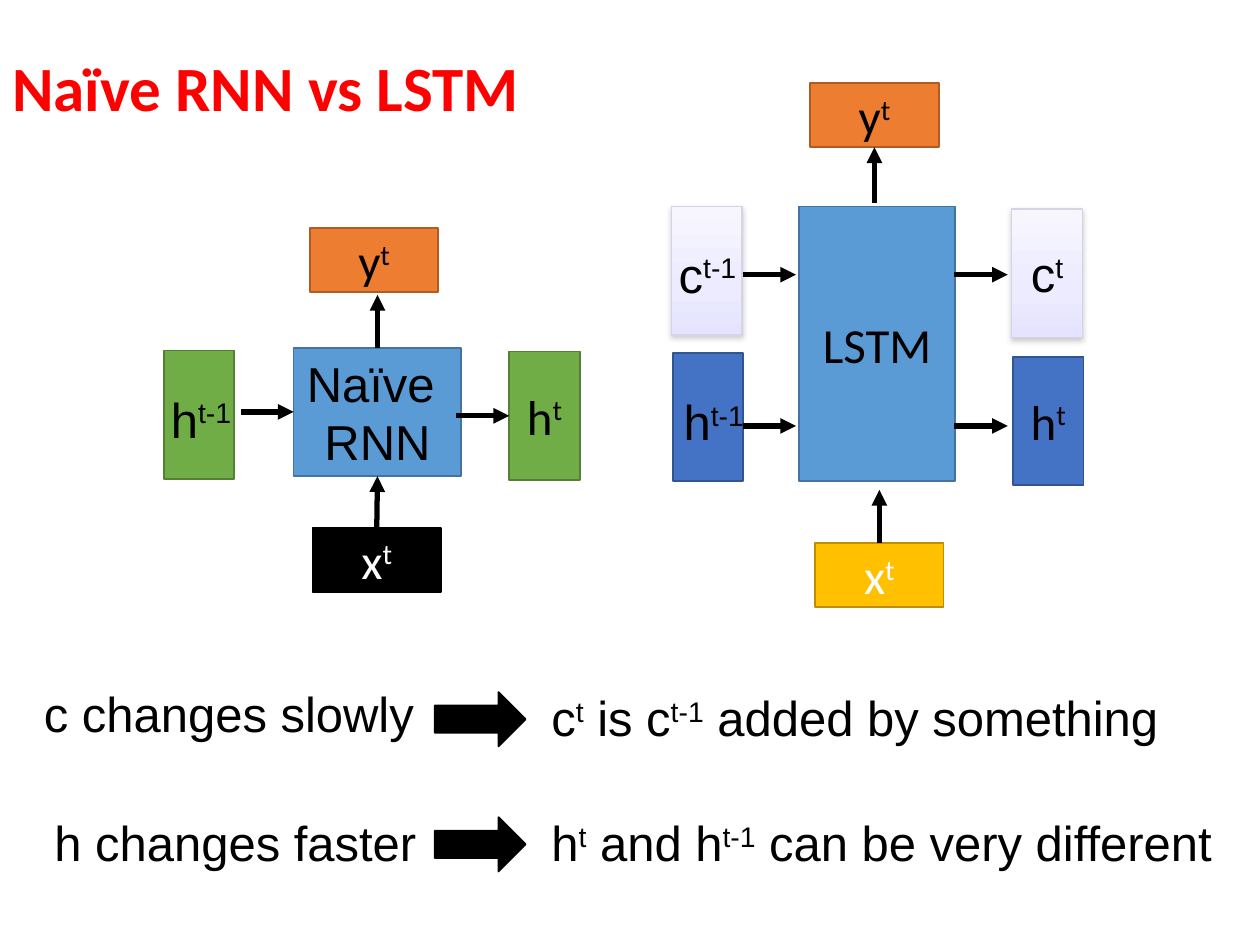
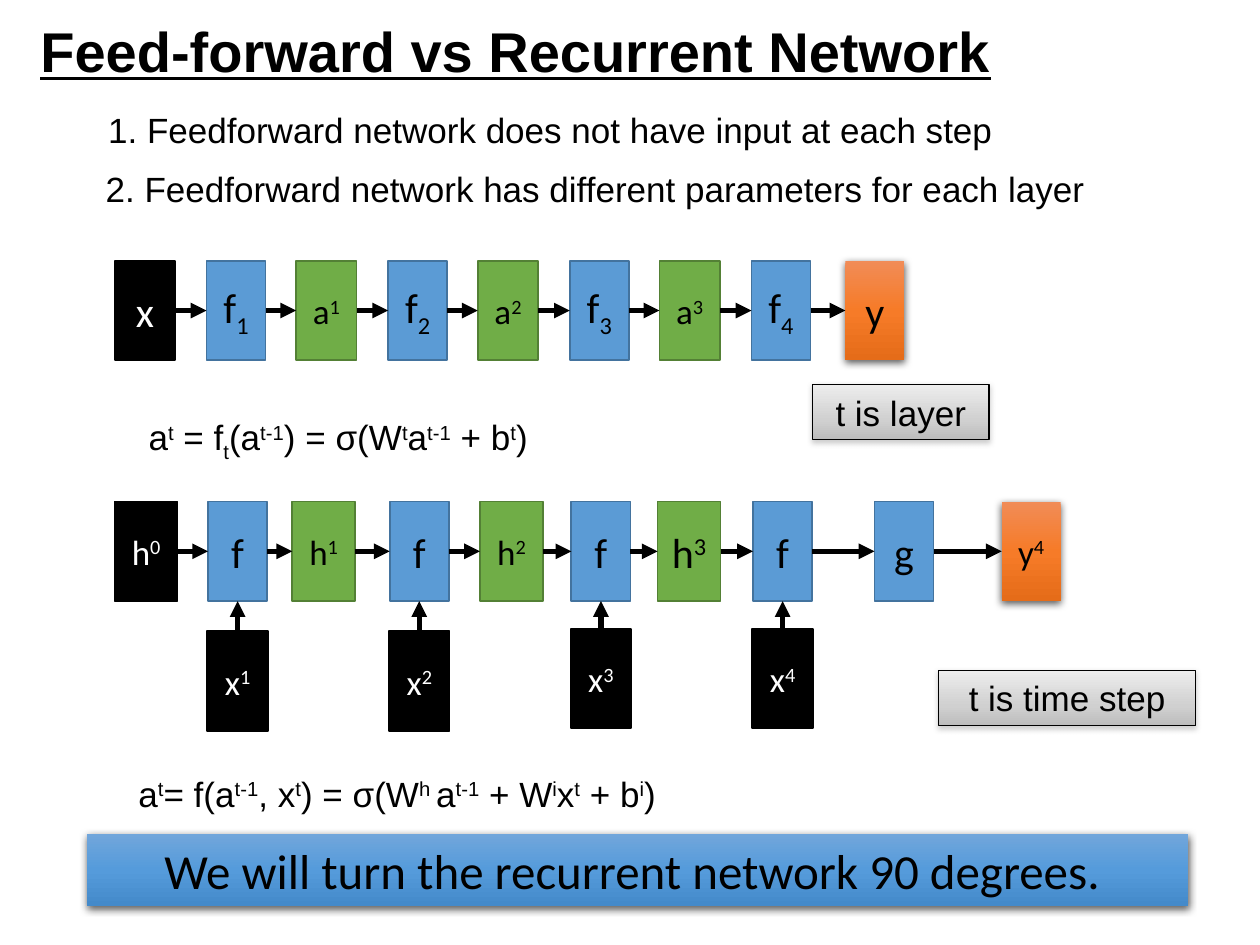
from lxml.etree import SubElement
from pptx import Presentation
from pptx.dml.color import RGBColor
from pptx.enum.shapes import MSO_CONNECTOR, MSO_SHAPE
from pptx.enum.text import MSO_ANCHOR, PP_ALIGN
from pptx.oxml.ns import qn
from pptx.util import Pt

COLORS = {
    "black": "000000", "white": "FFFFFF", "red": "FF0000",
    "blue": "5B9BD5", "blue edge": "43739E",
    "green": "70AD47", "green edge": "538035",
    "orange": "ED7D31", "orange edge": "AF5C24",
    "gold": "FFC000", "gold edge": "BD8E00",
    "indigo": "4472C4", "indigo edge": "325491",
    "lilac edge": "D4D3E7", "gray": "808080",
    "lilac 1": "F7F6FF", "lilac 2": "ECEBFF", "lilac 3": "E5E3FF",
    "ember 1": "F18C57", "ember 2": "F67B28", "ember 3": "E56C19",
    "silver 1": "EDEDED", "silver 2": "D0D0D0", "silver 3": "BCBCBC",
    "sky 1": "71A6DB", "sky 2": "559BDB", "sky 3": "448ACA",
}

# Shadows: colour, opacity %, blur, distance
SOFT = ("gray", 38, 3.1, 1.6)
STRONG = ("black", 63, 4.5, 1.5)

# Gradients: position of the middle stop, edge colour, shadow
GRADIENTS = {
    "lilac": (65, "lilac edge", SOFT),
    "silver": (65, "black", SOFT),
    "ember": (50, None, STRONG),
    "sky": (50, None, STRONG),
}

TOP, LEFT, BOTTOM, RIGHT = range(4)
BASELINES = {"^": "30000", "_": "-25000"}


def rgb(name):
    return RGBColor.from_string(COLORS[name])


def write_text(frame, text, size=28, font="Calibri", color="black",
               align=PP_ALIGN.LEFT, bold=False, underline=False, spacing=None):
    """Write text; parts between bars are raised after ^ and lowered after _."""
    for number, line in enumerate(text.split("\n")):
        para = frame.add_paragraph() if number else frame.paragraphs[0]
        para.alignment = align
        para.line_spacing = spacing
        for part in line.split("|"):
            if not part:
                continue
            baseline = BASELINES.get(part[0])
            span = para.add_run()
            span.text = part[1:] if baseline else part
            span.font.size = Pt(size)
            span.font.name = font
            span.font.bold = bold
            span.font.underline = underline
            span.font.color.rgb = rgb(color)
            if baseline:
                span.font._element.set("baseline", baseline)


class Deck:
    def __init__(self):
        self.deck = Presentation()
        self.deck.slide_width, self.deck.slide_height = Pt(720), Pt(540)
        self.page = None

    def new_page(self):
        self.page = self.deck.slides.add_slide(self.deck.slide_layouts[6])

    def label(self, text, left, top, width, height=41, wrap=True,
              anchor=MSO_ANCHOR.TOP, font="Arial", **style):
        box = self.page.shapes.add_textbox(Pt(left), Pt(top), Pt(width), Pt(height))
        box.text_frame.word_wrap = wrap
        box.text_frame.vertical_anchor = anchor
        write_text(box.text_frame, text, font=font, **style)

    def node(self, look, left, top, width, height, text="",
             kind=MSO_SHAPE.RECTANGLE, **style):
        box = self.page.shapes.add_shape(kind, Pt(left), Pt(top), Pt(width), Pt(height))
        box.shadow.inherit = False
        if look in GRADIENTS:
            self.shade(box, look)
        else:
            box.fill.solid()
            box.fill.fore_color.rgb = rgb(look)
            box.line.color.rgb = rgb("black" if look == "black" else look + " edge")
            box.line.width = Pt(1)
        if text:
            box.text_frame.word_wrap = True
            box.text_frame.vertical_anchor = MSO_ANCHOR.MIDDLE
            write_text(box.text_frame, text, align=PP_ALIGN.CENTER, **style)
        return box

    def shade(self, box, look):
        middle, edge, (shadow_color, opacity, blur, distance) = GRADIENTS[look]
        box.fill.gradient()
        box.fill.gradient_angle = 270
        properties = box.element.find(qn("p:spPr"))
        stops = properties.find(qn("a:gradFill")).find(qn("a:gsLst"))
        stops.clear()
        for number, position in enumerate((0, middle, 100), 1):
            stop = SubElement(stops, qn("a:gs"), pos=str(position * 1000))
            SubElement(stop, qn("a:srgbClr"), val=COLORS[f"{look} {number}"])
        if edge:
            box.line.color.rgb = rgb(edge)
            box.line.width = Pt(0.75)
        else:
            box.line.fill.background()
        shadow = SubElement(properties.find(qn("a:effectLst")), qn("a:outerShdw"),
                            blurRad=str(Pt(blur)), dist=str(Pt(distance)),
                            dir="5400000", rotWithShape="0")
        tint = SubElement(shadow, qn("a:srgbClr"), val=COLORS[shadow_color])
        SubElement(tint, qn("a:alpha"), val=str(opacity * 1000))

    def arrow(self, start, end):
        """Each end is a point (x, y) or a joint (box, side)."""
        points = [(0, 0) if hasattr(spot[0], "shape_id") else spot
                  for spot in (start, end)]
        line = self.page.shapes.add_connector(
            MSO_CONNECTOR.STRAIGHT, *(Pt(value) for point in points for value in point))
        if points[0] != start:
            line.begin_connect(*start)
        if points[1] != end:
            line.end_connect(*end)
        line.line.color.rgb = rgb("black")
        line.line.width = Pt(3)
        SubElement(line.line._get_or_add_ln(), qn("a:tailEnd"), type="triangle")
        SubElement(line.element.find(qn("p:spPr")), qn("a:effectLst"))

    def chain(self, boxes):
        for before, after in zip(boxes, boxes[1:]):
            self.arrow((before, RIGHT), (after, LEFT))


def build_cell_comparison(deck):
    deck.new_page()
    deck.label("Naïve RNN vs LSTM", 0, 0, 377, 104, anchor=MSO_ANCHOR.MIDDLE,
               font="Calibri", size=36, color="red", bold=True, spacing=0.9)

    # Statements, with a block arrow between cause and effect
    statements = [
        ("c changes slowly", 18, 387, "c|^t| is c|^t-1| added by something", 389.5, 395.5),
        ("h changes faster", 24, 461, "h|^t| and h|^t-1| can be very different", 461, 467),
    ]
    for cause, left, cause_top, effect, effect_top, arrow_top in statements:
        deck.label(cause, left, cause_top, 234)
        deck.label(effect, 308, effect_top, 412)
        deck.node("black", 248.4, arrow_top, 52, 31, kind=MSO_SHAPE.RIGHT_ARROW)

    state, signal = (40.3, 73.4), (73.4, 36.7)

    # Naïve RNN cell
    deck.node("green", 93.6, 200.2, *state)
    cell = deck.node("blue", 167.8, 198.7, 95.8, 73.4, "Naïve \nRNN", font="Arial")
    next_state = deck.node("green", 291, 200.9, *state, "h|^t")
    deck.node("orange", 177.1, 130.3, *signal, "y|^t")
    source = deck.node("black", 178.6, 301.7, *signal, "x|^t", color="white")
    deck.arrow((137.5, 235.4), (cell, LEFT))
    deck.arrow((260.6, 237.6), (next_state, LEFT))
    deck.arrow((cell, TOP), (215.7, 168.5))
    deck.arrow((source, TOP), (cell, BOTTOM))

    # LSTM cell
    deck.node("blue", 456.5, 118, 89.3, 157, "LSTM")
    deck.node("lilac", 383.8, 118, *state)
    deck.node("lilac", 578.2, 119.5, *state, "c|^t", font="Arial")
    deck.node("indigo", 384.5, 201.6, *state)
    deck.node("indigo", 578.9, 203.8, *state, "h|^t")
    output = deck.node("orange", 463, 47.5, *signal, "y|^t")
    source = deck.node("gold", 465.8, 310.3, *signal, "x|^t", color="white")
    deck.arrow((499.7, 116), (output, BOTTOM))
    deck.arrow((source, TOP), (502.5, 280))
    for height in (157, 243.4):
        for left in (424.4, 545.4):
            deck.arrow((left, height), (left + 30.5, height))

    # Labels of the previous states
    for text, left, top, width in [("h|^t-1", 88.6, 219, 52.6),
                                   ("h|^t-1", 381.6, 220.3, 52.6),
                                   ("c|^t-1", 380.2, 136, 48.2)]:
        deck.label(text, left, top, width, wrap=False, align=PP_ALIGN.CENTER)


def build_network_comparison(deck):
    deck.new_page()
    deck.label("Feed-forward vs Recurrent Network", 16, 6, 563, 46, wrap=False,
               size=32, bold=True, underline=True)
    deck.label("1. Feedforward network does not have input at each step",
               54.7, 58.3, 636, 32, size=20)
    deck.label("2. Feedforward network has different parameters for each layer",
               53.3, 92.2, 644, 32, size=20)

    height, step = 56.9, 103.8

    # Feed-forward row
    top = 149
    layers = [deck.node("black", 65.5, top, 34.6, height, "x", size=24, color="white")]
    for number in range(1, 5):
        shift = step * (number - 1)
        layers.append(deck.node("blue", 118 + shift, top, 33.8, height,
                                f"f|_{number}", size=24))
        if number < 4:
            layers.append(deck.node("green", 169.2 + shift, top, 34.6, height,
                                    f"a|^{number}", size=20))
    layers.append(deck.node("ember", 483.1, top, 33.8, height, "y", size=24))
    deck.chain(layers)
    deck.label("a|^t| = f|_t|(a|^t-1|) = σ(W|^t|a|^t-1| + b|^t|)",
               77.8, 234, 238, 32, wrap=False, size=20)
    deck.node("silver", 464.4, 219.6, 100.8, 31.7, "t is layer", font="Arial", size=20)

    # Recurrent row, with one input below each step
    top = 286.6
    steps = [deck.node("black", 65.5, top, 36, height, "h|^0", size=20, color="white")]
    hidden = [(167, 20), (274.3, 20), (375.8, 24)]
    for number, source_top in enumerate((360.7, 360.7, 359.3, 359.3), 1):
        left = 118.9 + step * (number - 1)
        cell = deck.node("blue", left, top, 33.8, height, "f", size=24)
        source = deck.node("black", left - 0.4, source_top, 34.6, height,
                           f"x|^{number}", size=20, color="white")
        deck.arrow((source, TOP), (cell, BOTTOM))
        steps.append(cell)
        if number < 4:
            hidden_left, size = hidden[number - 1]
            steps.append(deck.node("green", hidden_left, top, 36, height,
                                   f"h|^{number}", size=size))
    steps.append(deck.node("blue", 499.7, top, 33.8, height, "g", size=24))
    steps.append(deck.node("ember", 572.4, top, 33.8, height, "y|^4", size=20))
    deck.chain(steps)
    deck.label("a|^t|= f(a|^t-1|, x|^t|) = σ(W|^h |a|^t-1| + W|^i|x|^t| + b|^i|)",
               72, 437.8, 320, 32, wrap=False, size=20)
    deck.node("silver", 536.4, 383, 146.9, 31.7, "t is time step", font="Arial", size=20)

    # Closing banner
    deck.node("sky", 49.7, 476.6, 629.3, 41, "We will turn the recurrent network 90 degrees. ")


def main():
    deck = Deck()
    build_cell_comparison(deck)
    build_network_comparison(deck)
    deck.deck.save("out.pptx")


if __name__ == "__main__":
    main()
